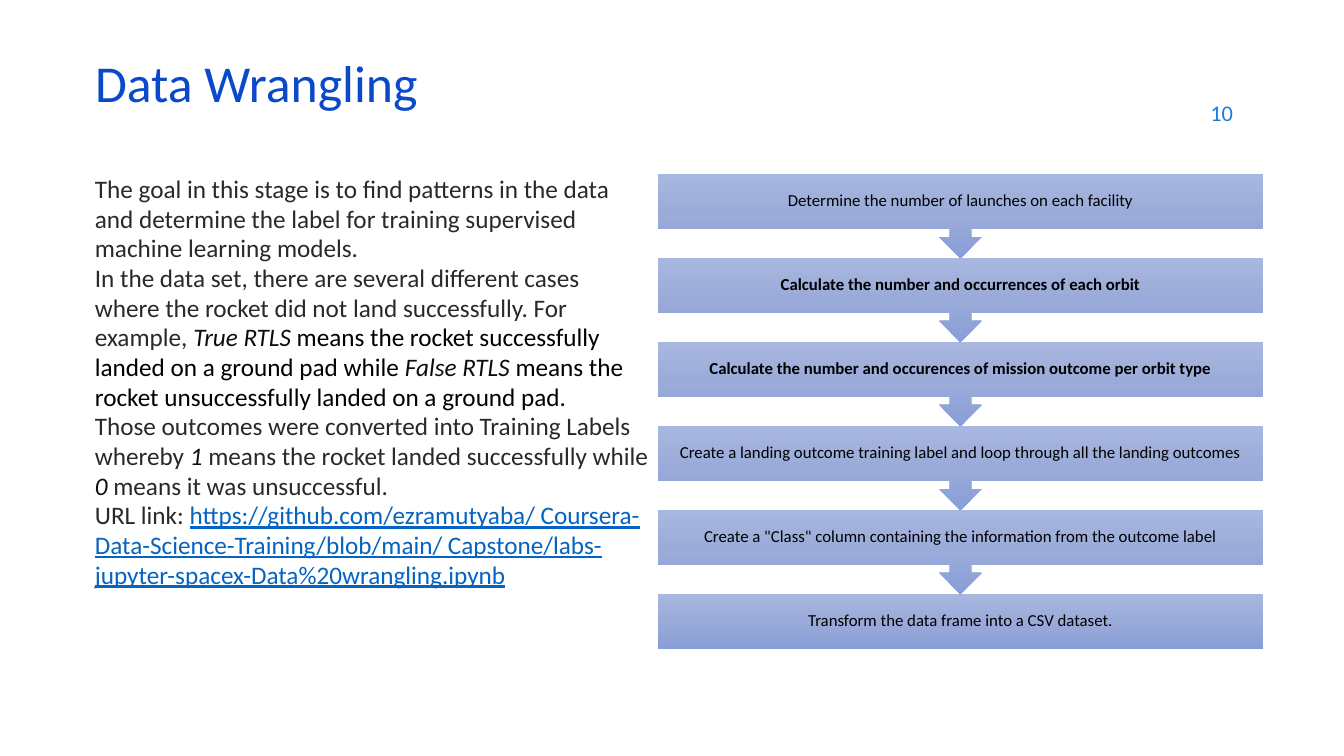
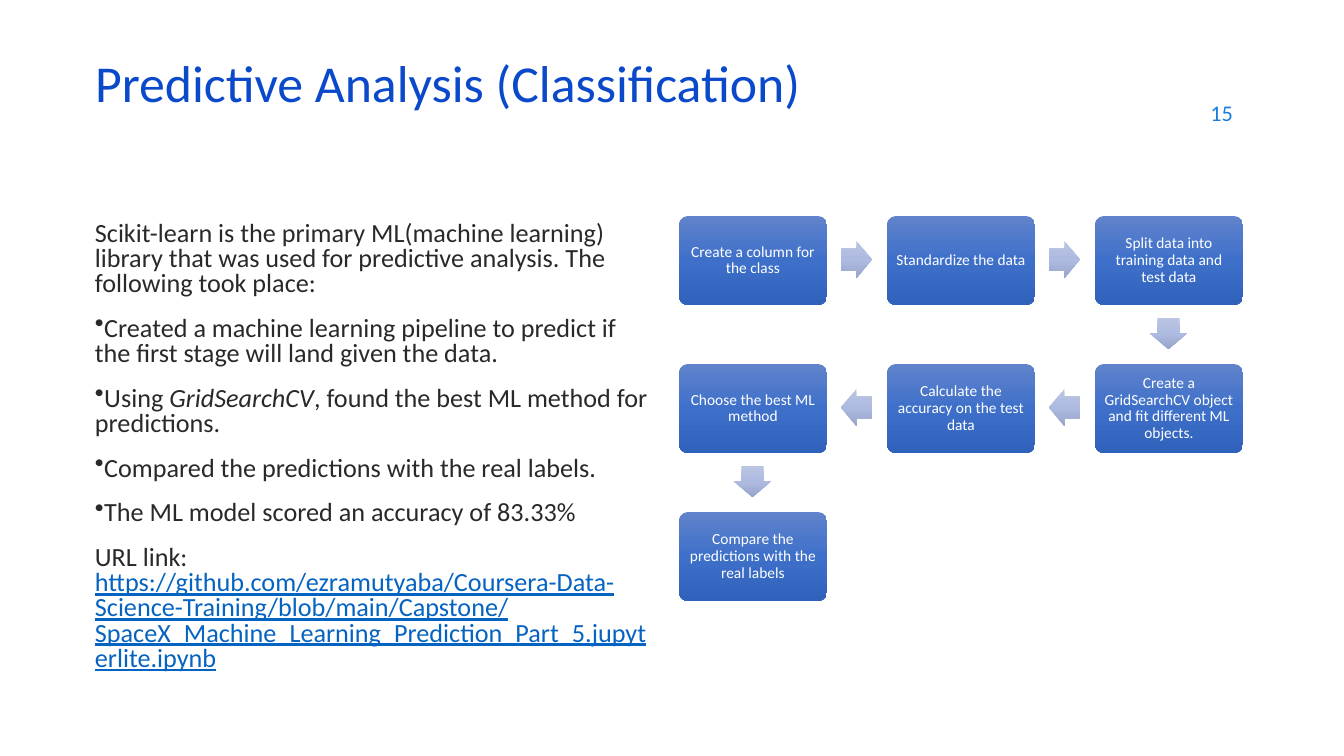
from copy import deepcopy
from dataclasses import dataclass

from pptx import Presentation
from pptx.dml.color import RGBColor
from pptx.enum.shapes import MSO_SHAPE
from pptx.enum.text import MSO_ANCHOR, MSO_AUTO_SIZE, PP_ALIGN
from pptx.oxml.ns import qn
from pptx.util import Emu, Pt
from lxml import etree

RECT = MSO_SHAPE.RECTANGLE
ROUND_RECT = MSO_SHAPE.ROUNDED_RECTANGLE
CALLOUT = MSO_SHAPE.DOWN_ARROW_CALLOUT
RIGHT_ARROW = MSO_SHAPE.RIGHT_ARROW
LEFT_ARROW = MSO_SHAPE.LEFT_ARROW
DOWN_ARROW = MSO_SHAPE.DOWN_ARROW
TOP, MIDDLE = MSO_ANCHOR.TOP, MSO_ANCHOR.MIDDLE
LEFT, CENTER, RIGHT = PP_ALIGN.LEFT, PP_ALIGN.CENTER, PP_ALIGN.RIGHT
NO_FIT = MSO_AUTO_SIZE.NONE
TITLE_ONLY = 5


@dataclass(frozen=True)
class Theme:
    font: str = "Calibri"
    title: str = "0B49CB"
    number: str = "1C7DDB"
    body: str = "292929"
    strong: str = "0D0D0D"
    black: str = "000000"
    white: str = "FFFFFF"
    link: str = "0563C1"
    band: tuple = ("A8B7DF", "9AABD9", "889ED7")
    box: tuple = ("6183CB", "3E70CA", "3062BB")
    arrow: tuple = ("BBC5E3", "AEBBE0", "98A4CB")
    title_size: float = 37
    number_size: float = 16
    stage_size: float = 18
    method_size: float = 18.7
    band_size: float = 12
    box_size: float = 11


THEME = Theme()
TERM = {"color": THEME.strong, "italic": True}
PLAIN = {"color": THEME.black}
ITALIC = {"italic": True}
BOLD = {"bold": True}
LINK = {"color": THEME.link, "underline": True}


def px(n):
    return Emu(round(n * 914400 / 100.8))


class Deck:
    def __init__(self, theme):
        self.theme = theme
        self.prs = Presentation()
        self.prs.slide_width, self.prs.slide_height = px(1344), px(756)
        self.s = None

    def slide(self, title, number):
        t = self.theme
        self.s = self.prs.slides.add_slide(self.prs.slide_layouts[TITLE_ONLY])
        sp = self.s.shapes.title
        sp.left, sp.top, sp.width, sp.height = map(px, (85, 59, 1159, 60))
        self.set_text(sp, [[title]], t.title_size, t.title, anchor=MIDDLE, spacing=0.7)
        self.text((941, 91, 302, 44), [[number]], t.number_size, t.number,
                  align=RIGHT, anchor=MIDDLE)

    def set_text(self, sp, paragraphs, size, color, align=LEFT, anchor=TOP,
                 spacing=1.0, before=0, inset=None, bullets=()):
        tf = sp.text_frame
        frame = {"word_wrap": True, "auto_size": NO_FIT, "vertical_anchor": anchor}
        if inset is not None:
            sides = ("left", "top", "right", "bottom")
            frame.update({f"margin_{side}": px(inset) for side in sides})
        for name, value in frame.items():
            setattr(tf, name, value)
        for i, runs in enumerate(paragraphs):
            p = tf.add_paragraph() if i else tf.paragraphs[0]
            layout = {"alignment": align, "line_spacing": spacing,
                      "space_before": Pt(before if i else 0)}
            for name, value in layout.items():
                setattr(p, name, value)
            if i in bullets:
                etree.SubElement(p._p.get_or_add_pPr(), qn("a:buChar")).set("char", "•")
            for run in runs:
                text, style = (run, {}) if isinstance(run, str) else run
                if text == "\n":
                    p.add_line_break()
                else:
                    self.add_run(p, text, {"size": Pt(size), "color": color, **style})

    def add_run(self, p, text, style):
        r = p.add_run()
        r.text = text
        r.font.name = self.theme.font
        for name, value in style.items():
            if name == "color":
                r.font.color.rgb = RGBColor.from_string(value)
            else:
                setattr(r.font, name, value)

    def text(self, at, paragraphs, size, color, **layout):
        sp = self.s.shapes.add_textbox(*map(px, at))
        self.set_text(sp, paragraphs, size, color, **layout)

    def shape(self, kind, at, colors, adjustments=()):
        sp = self.s.shapes.add_shape(kind, *map(px, at))
        sp.shadow.inherit = False
        sp.line.fill.background()
        for i, value in enumerate(adjustments):
            sp.adjustments[i] = value
        sp.fill.gradient()
        sp.fill.gradient_angle = 270
        stops = sp._element.spPr.find(qn("a:gradFill")).find(qn("a:gsLst"))
        stops.append(deepcopy(stops[0]))
        for stop, position, color in zip(sp.fill.gradient_stops, (0, 0.5, 1), colors):
            stop.position = position
            stop.color.rgb = RGBColor.from_string(color)
        return sp

    def bands(self, left, top, width, height, pitch, steps):
        t = self.theme
        for i, step in enumerate(steps):
            last = i == len(steps) - 1
            kind, h = (RECT, height) if last else (CALLOUT, pitch)
            sp = self.shape(kind, (left, top + i * pitch, width, h), t.band)
            self.set_text(sp, [[step]], t.band_size, t.black, align=CENTER,
                          anchor=MIDDLE, spacing=0.9, inset=9)

    def snake(self, left, top, width, height, pitch_x, pitch_y, columns, steps):
        t = self.theme
        previous = None
        for i, step in enumerate(steps):
            row, col = divmod(i, columns)
            if row % 2:
                col = columns - 1 - col
            x, y = left + col * pitch_x, top + row * pitch_y
            center = (x + width // 2, y + height // 2)
            if previous:
                self.arrow(previous, center)
            previous = center
            sp = self.shape(ROUND_RECT, (x, y, width, height), t.box, [0.1])
            self.set_text(sp, [[step]], t.box_size, t.white, align=CENTER,
                          anchor=MIDDLE, spacing=0.9, inset=5)

    def arrow(self, start, end):
        (x1, y1), (x2, y2) = start, end
        if x1 == x2:
            kind, w, h = DOWN_ARROW, 37, 31
        else:
            kind, w, h = RIGHT_ARROW if x2 > x1 else LEFT_ARROW, 31, 37
        at = ((x1 + x2 - w) // 2, (y1 + y2 - h) // 2, w, h)
        self.shape(kind, at, self.theme.arrow, [0.6, 0.5])


def data_wrangling(deck):
    deck.slide("Data Wrangling", "10")
    deck.text((85, 170, 574, 494), [
        ["The goal in this stage is to find patterns in the data and determine "
         "the label for training supervised machine learning models."],
        ["In the data set, there are several different cases where the rocket "
         "did not land successfully. For example, ",
         ("True RTLS ", TERM),
         ("means the rocket successfully landed on a ground pad while ", PLAIN),
         ("False RTLS ", TERM),
         ("means the rocket unsuccessfully landed on a ground pad.", PLAIN)],
        ["Those outcomes were converted into Training Labels whereby ",
         ("1", TERM), " means the rocket landed successfully while ",
         ("0", TERM), " means it was unsuccessful."],
        ["URL link: ",
         ("https://github.com/ezramutyaba/ Coursera-Data-Science-Training/blob/main/"
          " Capstone/labs-jupyter-spacex-Data%20wrangling.ipynb", LINK)],
    ], THEME.stage_size, THEME.body, spacing=0.98)
    deck.bands(658, 174, 605, 55, 84, [
        "Determine the number of launches on each facility",
        ("Calculate the number and occurrences of each orbit", BOLD),
        ("Calculate the number and occurences of mission outcome per orbit type", BOLD),
        "Create a landing outcome training label and loop through all the landing outcomes",
        'Create a "Class" column containing the information from the outcome label',
        "Transform the data frame into a CSV dataset.",
    ])


def predictive_analysis(deck):
    deck.slide("Predictive Analysis (Classification)", "15")
    deck.text((85, 217, 580, 480), [
        ["Scikit-learn is the primary ML(machine learning) library that was used "
         "for predictive analysis. The following took place:"],
        ["Created a machine learning pipeline to predict if the first stage will "
         "land given the data."],
        ["Using ", ("GridSearchCV", ITALIC), ", found the best ML method for predictions."],
        ["Compared the predictions with the real labels."],
        ["The ML model scored an accuracy of 83.33%"],
        ["URL link: ", "\n",
         ("https://github.com/ezramutyaba/Coursera-Data-Science-Training/blob/main/"
          "Capstone/SpaceX_Machine_Learning_Prediction_Part_5.jupyterlite.ipynb", LINK)],
    ], THEME.method_size, THEME.body, spacing=0.8, before=14, bullets=range(1, 5))
    deck.snake(679, 216, 148, 89, 208, 148, 3, [
        "Create a column for the class",
        "Standardize the data",
        "Split data into training data and test data",
        "Create a GridSearchCV object and fit different ML objects.",
        "Calculate the accuracy on the test data",
        "Choose the best ML method",
        "Compare the predictions with the real labels",
    ])


def main():
    deck = Deck(THEME)
    data_wrangling(deck)
    predictive_analysis(deck)
    deck.prs.save("out.pptx")


if __name__ == "__main__":
    main()
